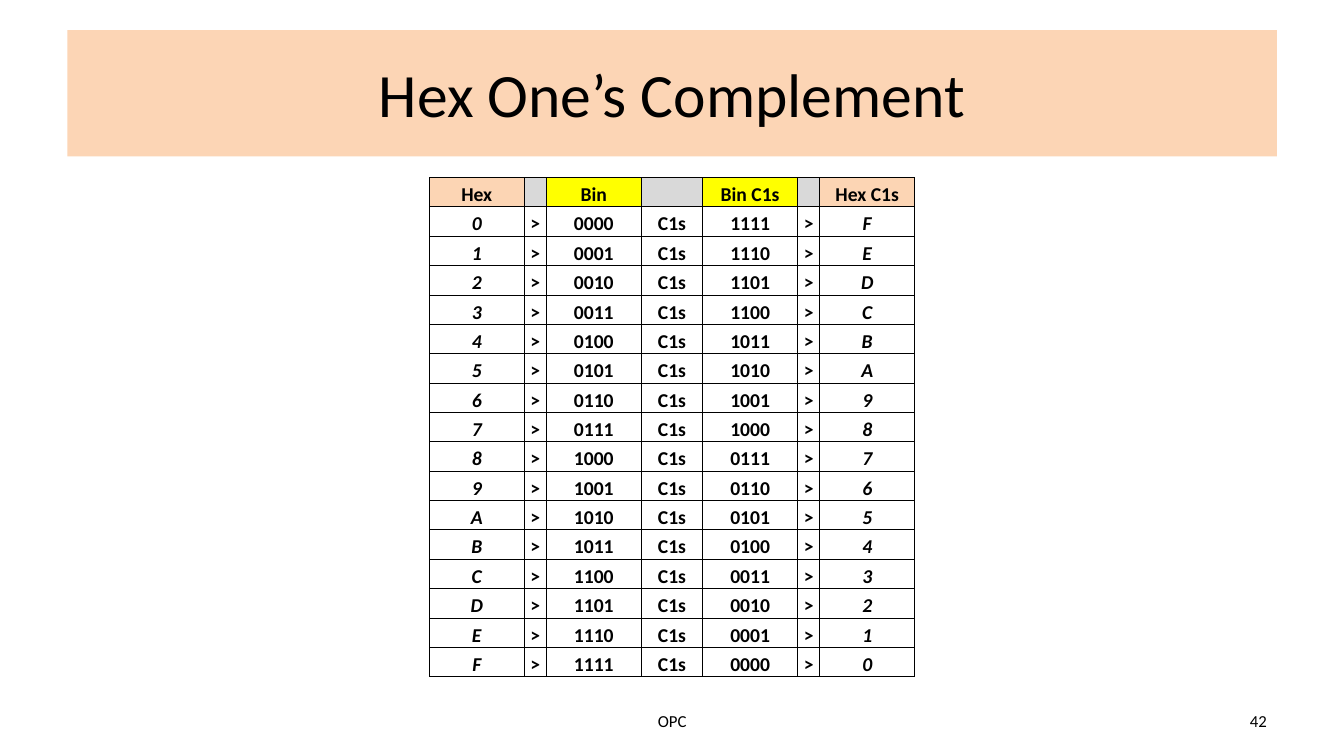
from dataclasses import dataclass

from lxml import etree
from pptx import Presentation
from pptx.dml.color import RGBColor
from pptx.enum.text import MSO_ANCHOR, PP_ALIGN
from pptx.oxml.ns import qn
from pptx.util import Cm, Pt

CENTER, RIGHT = PP_ALIGN.CENTER, PP_ALIGN.RIGHT
MIDDLE, BOTTOM = MSO_ANCHOR.MIDDLE, MSO_ANCHOR.BOTTOM
TITLE_ONLY = 5


@dataclass(frozen=True)
class Theme:
    font: str = "Calibri"
    text: str = "000000"
    banner: str = "FCD5B5"
    hex_head: str = "FCD5B4"
    bin_head: str = "FFFF00"
    gap_head: str = "D9D9D9"
    title_size: int = 44
    table_size: int = 14
    footer_size: int = 12
    border: float = 0.5


THEME = Theme()
COLUMNS = [
    ("Hex", 2.39, THEME.hex_head),
    ("", 0.56, THEME.gap_head),
    ("Bin", 2.39, THEME.bin_head),
    ("", 1.55, THEME.gap_head),
    ("Bin C1s", 2.39, THEME.bin_head),
    ("", 0.56, THEME.gap_head),
    ("Hex C1s", 2.39, THEME.hex_head),
]
HEX_COLUMNS = (0, 6)
ROW_HEIGHT = 0.74


def write(tf, text, size, align=CENTER, anchor=MIDDLE, bold=False, italic=False):
    tf.word_wrap = True
    tf.vertical_anchor = anchor
    p = tf.paragraphs[0]
    p.alignment = align
    if not text:
        etree.SubElement(p._p, qn("a:endParaRPr"), sz=str(size * 100))
        return
    r = p.add_run()
    r.text = text
    r.font.name = THEME.font
    r.font.size = Pt(size)
    r.font.bold = bold
    r.font.italic = italic
    r.font.color.rgb = RGBColor.from_string(THEME.text)


def add_title(slide, text):
    sp = slide.shapes.title
    sp.left, sp.top, sp.width, sp.height = Cm(1.7), Cm(0.76), Cm(30.48), Cm(3.18)
    sp.fill.solid()
    sp.fill.fore_color.rgb = RGBColor.from_string(THEME.banner)
    write(sp.text_frame, text, THEME.title_size)


def add_footer(slide, text, left, width, align):
    sp = slide.shapes.add_textbox(Cm(left), Cm(17.65), Cm(width), Cm(1.02))
    write(sp.text_frame, text, THEME.footer_size, align=align)


def add_borders(cell):
    tc_pr = cell._tc.get_or_add_tcPr()
    for side in ("lnL", "lnR", "lnT", "lnB"):
        ln = etree.SubElement(tc_pr, qn(f"a:{side}"), w=str(Pt(THEME.border)))
        fill = etree.SubElement(ln, qn("a:solidFill"))
        etree.SubElement(fill, qn("a:srgbClr"), val=THEME.text)


def format_cell(cell, text, fill=None, italic=False):
    cell.margin_left = cell.margin_right = cell.margin_top = Cm(0.03)
    cell.margin_bottom = 0
    cell.vertical_anchor = BOTTOM
    add_borders(cell)
    if fill:
        cell.fill.solid()
        cell.fill.fore_color.rgb = RGBColor.from_string(fill)
    else:
        cell.fill.background()
    write(cell.text_frame, text, THEME.table_size, anchor=BOTTOM, bold=True, italic=italic)


def complement_row(n):
    c = 15 - n
    return [f"{n:X}", ">", f"{n:04b}", "C1s", f"{c:04b}", ">", f"{c:X}"]


def add_complement_table(slide):
    rows = [complement_row(n) for n in range(16)]
    width = sum(w for _, w, _ in COLUMNS)
    frame = slide.shapes.add_table(len(rows) + 1, len(COLUMNS), Cm(10.82), Cm(4.47),
                                   Cm(width), Cm(ROW_HEIGHT * (len(rows) + 1)))
    table = frame.table
    table.first_row = table.horz_banding = False
    for row in table.rows:
        row.height = Cm(ROW_HEIGHT)
    for j, (head, col_width, fill) in enumerate(COLUMNS):
        table.columns[j].width = Cm(col_width)
        format_cell(table.cell(0, j), head, fill=fill)
        for i, values in enumerate(rows, 1):
            format_cell(table.cell(i, j), values[j], italic=j in HEX_COLUMNS)


def main():
    prs = Presentation()
    prs.slide_width, prs.slide_height = Cm(33.87), Cm(19.05)
    slide = prs.slides.add_slide(prs.slide_layouts[TITLE_ONLY])
    add_title(slide, "Hex One’s Complement")
    add_footer(slide, "OPC", 11.58, 10.72, CENTER)
    add_footer(slide, "42", 24.28, 7.9, RIGHT)
    add_complement_table(slide)
    prs.save("out.pptx")


if __name__ == "__main__":
    main()
